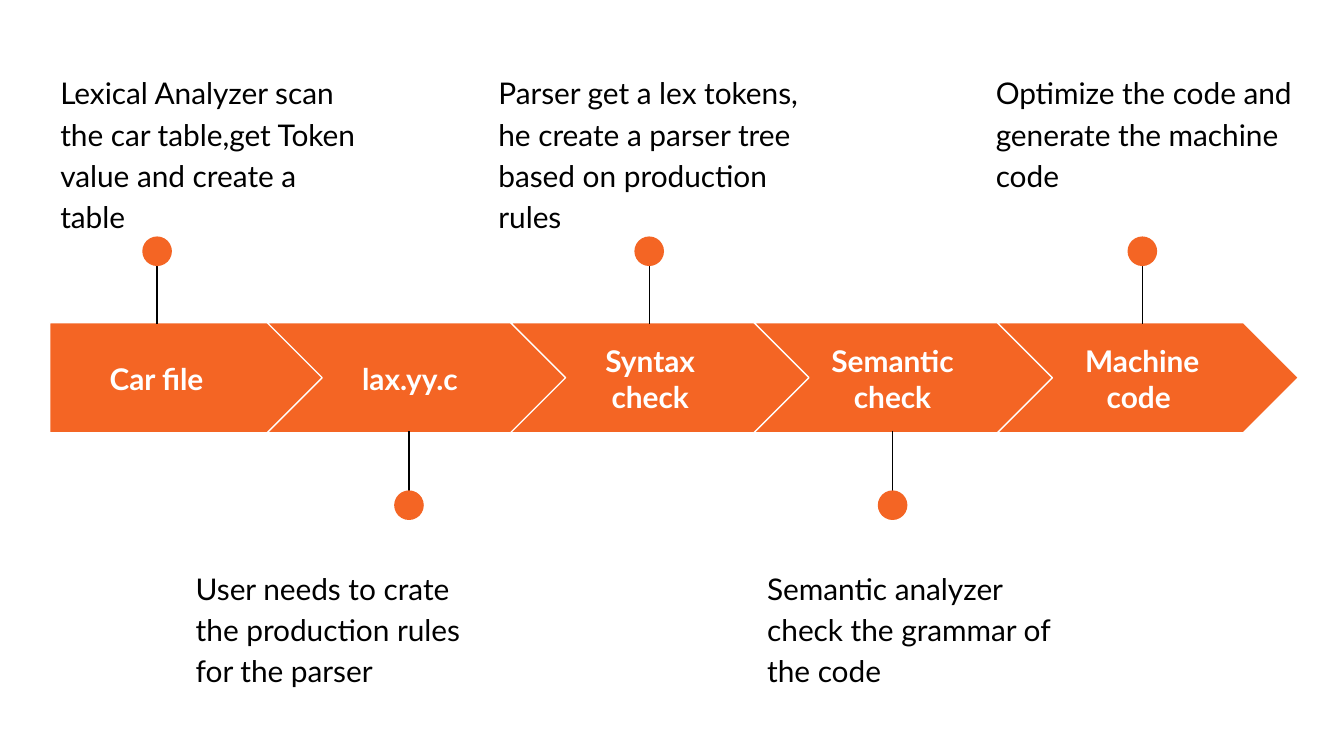
from dataclasses import dataclass

from lxml import etree
from pptx import Presentation
from pptx.dml.color import RGBColor
from pptx.enum.shapes import MSO_CONNECTOR, MSO_SHAPE
from pptx.enum.text import MSO_ANCHOR, PP_ALIGN
from pptx.oxml.ns import qn
from pptx.util import Cm, Pt

PLATE, ARROW, DOT = MSO_SHAPE.PENTAGON, MSO_SHAPE.CHEVRON, MSO_SHAPE.OVAL
LINE = MSO_CONNECTOR.STRAIGHT
TOP, MID = MSO_ANCHOR.TOP, MSO_ANCHOR.MIDDLE
LEFT, MIDDLE = PP_ALIGN.LEFT, PP_ALIGN.CENTER

ORANGE, WHITE, BLACK = "F46524", "FFFFFF", "000000"
STROKE = Pt(0.75)

# Lengths in centimetres
BAND_Y, BAND_H = 6.1, 2.08
PLATE_X, PLATE_W = 0.94, 5.21
ARROW_X, ARROW_W, PITCH = 5.05, 5.69, 4.6
LABEL_Y, LABEL_H = 6.5, 1.3
NOTE_W, NOTE_H = 6.22, 2.51
DOT_D = 0.56
INSET = 0.25


@dataclass
class Side:
    tip: float
    base: float
    dot_y: float
    note_y: float


@dataclass
class Step:
    label: str
    label_x: float
    label_w: float
    pin_x: float
    note: str
    note_x: float
    side: Side


@dataclass
class Style:
    font: dict
    para: dict
    anchor: MSO_ANCHOR


ABOVE = Side(4.57, 6.12, 4.47, 1.07)
BELOW = Side(9.7, 8.15, 9.27, 10.44)

STEPS = [
    Step("Car file", 0.94, 4.04, 2.97,
         "Lexical Analyzer scan the car table,get Token value and create a table",
         0.89, ABOVE),
    Step("lax.yy.c", 5.92, 3.66, 7.73,
         "User needs to crate the production rules for the parser",
         3.45, BELOW),
    Step("Syntax check", 10.46, 3.66, 12.27,
         "Parser get a lex tokens, he create a parser tree based on production rules",
         9.17, ABOVE),
    Step("Semantic check", 15.04, 3.66, 16.87,
         "Semantic analyzer check the grammar of the code",
         14.25, BELOW),
    Step("Machine code ", 19.76, 3.66, 21.59,
         "Optimize the code and generate the machine code",
         18.57, ABOVE),
]


def paint(target, color: str) -> None:
    """Give a fill a solid colour."""
    target.solid()
    target.fore_color.rgb = RGBColor.from_string(color)


def apply(target, values: dict) -> None:
    for name, value in values.items():
        setattr(target, name, value)


def add_text(shapes, text: str, x: float, y: float, w: float, h: float,
             color: str, style: Style) -> None:
    frame = shapes.add_textbox(Cm(x), Cm(y), Cm(w), Cm(h)).text_frame
    apply(frame, {"word_wrap": True, "vertical_anchor": style.anchor})
    apply(frame, {f"margin_{side}": Cm(INSET)
                  for side in ("left", "top", "right", "bottom")})
    para = frame.paragraphs[0]
    apply(para, style.para)
    run = para.add_run()
    run.text = text
    apply(run.font, style.font)
    paint(run.font.fill, color)


def add_shape(shapes, kind: MSO_SHAPE, x: float, y: float,
              w: float, h: float):
    shape = shapes.add_shape(kind, Cm(x), Cm(y), Cm(w), Cm(h))
    shape.shadow.inherit = False
    paint(shape.fill, ORANGE)
    return shape


def add_band(shapes, index: int) -> None:
    """Draw one link of the arrow band; the first has a flat left edge."""
    if index == 0:
        kind, x, w = PLATE, PLATE_X, PLATE_W
    else:
        kind, x, w = ARROW, ARROW_X + PITCH * (index - 1), ARROW_W
    shape = add_shape(shapes, kind, x, BAND_Y, w, BAND_H)
    shape.adjustments[0] = 0.5
    paint(shape.line.fill, WHITE)
    shape.line.width = STROKE


def add_pin(shapes, x: float, side: Side) -> None:
    """Draw a stem and its dot as one group."""
    group = shapes.add_group_shape().shapes
    stem = group.add_connector(LINE, Cm(x), Cm(side.tip), Cm(x), Cm(side.base))
    paint(stem.line.fill, BLACK)
    stem.line.width = STROKE
    etree.SubElement(stem._element.spPr, qn("a:effectLst"))
    dot = add_shape(group, DOT, x - DOT_D / 2, side.dot_y, DOT_D, DOT_D)
    dot.line.fill.background()


LABEL = Style({"name": "Lato", "size": Pt(16), "bold": True},
              {"alignment": MIDDLE}, MID)
NOTE = Style({"name": "Lato", "size": Pt(16)},
             {"alignment": LEFT, "line_spacing": 1.15, "space_after": Pt(16)},
             TOP)


def main() -> None:
    deck = Presentation()
    deck.slide_width, deck.slide_height = Cm(25.4), Cm(14.29)
    shapes = deck.slides.add_slide(deck.slide_layouts[6]).shapes

    # Each step: band link, label, pin, note
    for index, step in enumerate(STEPS):
        add_band(shapes, index)
        add_text(shapes, step.label, step.label_x, LABEL_Y,
                 step.label_w, LABEL_H, WHITE, LABEL)
        add_pin(shapes, step.pin_x, step.side)
        add_text(shapes, step.note, step.note_x, step.side.note_y,
                 NOTE_W, NOTE_H, BLACK, NOTE)

    deck.save("out.pptx")


if __name__ == "__main__":
    main()
